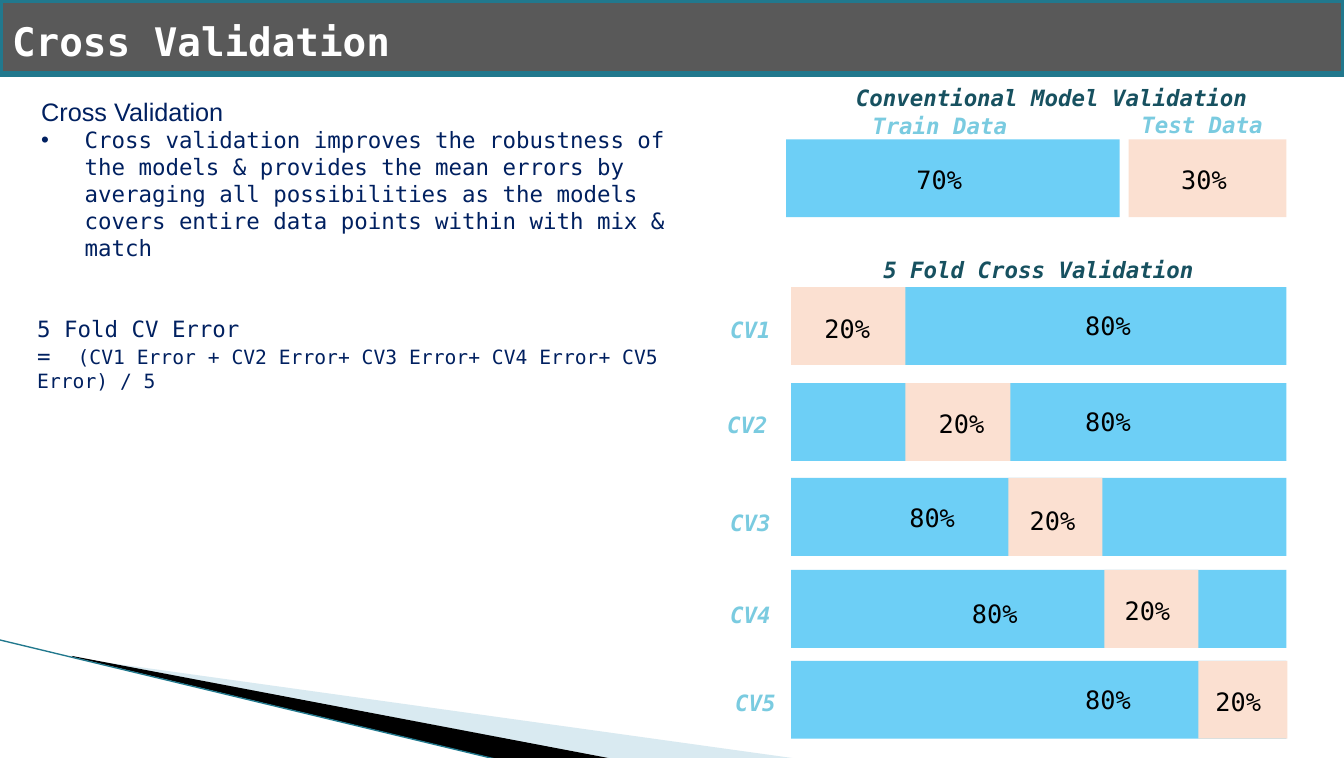
from lxml import etree
from pptx import Presentation
from pptx import util as u
from pptx.dml import color
from pptx.enum import shapes, text
from pptx.oxml import ns

PX = 9144
MONO = "DejaVu Sans Mono"
COLORS = {
    "train": "6DCFF6", "test": "FBE0D1", "label": "7ACBE0", "heading": "175160",
    "body": "002060", "bar": "595959", "bar_edge": "21788D", "pale": "A0CBDC",
    "edge": "97C5D8", "black": "000000", "white": "FFFFFF",
}


def rgb(name):
    """Return the named colour."""
    return color.RGBColor.from_string(COLORS[name])


def add_xml(parent, tag, **attributes):
    """Append a DrawingML element to its parent."""
    return etree.SubElement(parent, ns.qn(tag), attributes)


def style(paragraph, size, ink, font=MONO, bold=False, italic=False):
    """Set the font of a whole paragraph."""
    face = paragraph.font
    face.name, face.size, face.bold, face.italic = font, u.Pt(size), bold, italic
    face.color.rgb = rgb(ink)


def add_text(slide, box, words, size, ink, centred=False, wrap=True, **look):
    """Add a text box holding one styled paragraph."""
    frame = slide.shapes.add_textbox(*(n * PX for n in box)).text_frame
    frame.word_wrap = wrap
    frame.auto_size = text.MSO_AUTO_SIZE.SHAPE_TO_FIT_TEXT
    paragraph = frame.paragraphs[0]
    paragraph.text = words
    paragraph.alignment = text.PP_ALIGN.CENTER if centred else text.PP_ALIGN.LEFT
    style(paragraph, size, ink, **look)
    return frame


def add_caption(slide, box, words, ink):
    """Add a centred bold italic caption."""
    add_text(slide, box, words, 16, ink, centred=True, bold=True, italic=True)


def add_percent(slide, left, top, words):
    """Add the share written on a block."""
    add_text(slide, (left, top, 71, 40), words, 18, "black", wrap=False)


def add_block(slide, box, fill):
    """Add a flat rectangle."""
    block = slide.shapes.add_shape(shapes.MSO_SHAPE.RECTANGLE, *(n * PX for n in box))
    block.shadow.inherit = False
    block.fill.solid()
    block.fill.fore_color.rgb = rgb(fill)
    block.line.fill.background()
    return block


def add_wedge(slide, points, fill):
    """Add a filled polygon."""
    builder = slide.shapes.build_freeform(*points[0], scale=PX)
    builder.add_line_segments(points[1:], close=True)
    wedge = builder.convert_to_shape()
    wedge.shadow.inherit = False
    wedge.fill.solid()
    wedge.fill.fore_color.rgb = rgb(fill)
    wedge.line.fill.background()
    return wedge


def draw_corner(slide, left, top):
    """Draw the wedges and edge line in the lower left corner."""
    pale = [(73, 18), (791, 118), (606, 118), (73, 17)]
    dark = [(71, 16), (607, 118), (495, 119), (72, 17)]
    pale, dark = ([(left + x, top + y) for x, y in points] for points in (pale, dark))
    wedge = add_wedge(slide, pale, "pale")
    for tint in wedge._element.spPr.iter(ns.qn("a:srgbClr")):
        add_xml(tint, "a:alpha", val="40000")
    add_wedge(slide, dark, "black")
    edge = slide.shapes.add_connector(
        shapes.MSO_CONNECTOR.STRAIGHT,
        (left - 1) * PX, top * PX, (left + 494) * PX, (top + 119) * PX)
    edge.line.color.rgb = rgb("bar_edge")
    edge.line.width = u.Pt(0.95)
    add_xml(edge._element.spPr, "a:effectLst")


def draw_header(slide, left, top, width, height):
    """Draw the title bar."""
    bar = add_block(slide, (left, top, width, height), "bar")
    bar.line.color.rgb = rgb("bar_edge")
    bar.line.width = u.Pt(4.33)
    frame = add_text(slide, (left, top + 11, 617, 58), "Cross Validation", 28,
                     "white", bold=True)
    frame.auto_size = text.MSO_AUTO_SIZE.NONE
    frame.margin_left = frame.margin_right = 12 * PX
    frame.margin_top = frame.margin_bottom = 6 * PX


def draw_explanation(slide, left, top, width):
    """Write the description and the error formula."""
    description = add_text(slide, (left + 4, top, width, 175), "Cross Validation", 18,
                           "body", font="Arial")
    benefit = description.add_paragraph()
    benefit.text = (
        "Cross validation improves the robustness of the models & provides the mean "
        "errors by averaging all possibilities as the models covers entire data points "
        "within with mix & match")
    style(benefit, 16, "body")
    properties = benefit._p.get_or_add_pPr()
    properties.set("marL", str(43 * PX))
    properties.set("indent", str(-43 * PX))
    bullet_font = add_xml(properties, "a:buFont", typeface="Arial")
    bullet = add_xml(properties, "a:buChar", char="•")
    properties.insert(0, bullet_font)
    properties.insert(1, bullet)

    error = add_text(slide, (left, top + 217, width, 64), "5 Fold CV Error", 16, "body")
    formula = error.add_paragraph()
    style(formula, 16, "body")
    formula.add_run().text = "=\t"
    terms = formula.add_run()
    terms.text = "(CV1 Error + CV2 Error+ CV3 Error+ CV4 Error+ CV5 Error) / 5"
    terms.font.size = u.Pt(14)
    properties = formula._p.get_or_add_pPr()
    stops = add_xml(properties, "a:tabLst")
    add_xml(stops, "a:tab", pos=str(40 * PX), algn="l")
    properties.insert(0, stops)


def draw_conventional(slide, left, top):
    """Draw the single train and test split."""
    add_caption(slide, (left + 57, top, 411, 37), "Conventional Model Validation", "heading")
    splits = [
        ("Train Data", "70%", "train", 0, 330, 74, 28, 156, 119),
        ("Test Data", "30%", "test", 339, 156, 337, 27, 149, 381),
    ]
    for name, share, fill, x, width, name_x, name_y, name_width, share_x in splits:
        add_block(slide, (left + x, top + 60, width, 77), fill)
        add_caption(slide, (left + name_x, top + name_y, name_width, 37), name, "label")
        add_percent(slide, left + share_x, top + 80, share)


def draw_folds(slide, left, top, width):
    """Draw the five folds, each with its test block."""
    add_caption(slide, (left + 39, top, 411, 37), "5 Fold Cross Validation", "heading")
    folds = [
        (36, 0, 113, (281, 18), (23, 21), (-76, 24)),
        (131, 113, 104, (281, 18), (136, 20), (-79, 23)),
        (225, 215, 93, (107, 19), (226, 22), (-76, 26)),
        (316, 310, 93, (169, 23), (320, 20), (-76, 26)),
        (406, 403, 88, (281, 18), (410, 20), (-71, 23)),
    ]
    for number, (y, test_x, test_width, train, test, name) in enumerate(folds, 1):
        row = top + y
        add_block(slide, (left, row, width, 77), "train")
        add_block(slide, (left + test_x, row, test_width, 77), "test")
        add_percent(slide, left + train[0], row + train[1], "80%")
        add_percent(slide, left + test[0], row + test[1], "20%")
        add_caption(slide, (left + name[0], row + name[1], 71, 37), f"CV{number}", "label")


def main():
    """Build and save the slide."""
    deck = Presentation()
    deck.slide_width, deck.slide_height = 1330 * PX, 750 * PX
    slide = deck.slides.add_slide(deck.slide_layouts[6])
    draw_corner(slide, 0, 633)
    draw_header(slide, 0, 0, 1330, 73)
    draw_explanation(slide, 27, 90, 677)
    draw_conventional(slide, 778, 78)
    draw_folds(slide, 783, 248, 490)
    deck.save("out.pptx")


if __name__ == "__main__":
    main()
